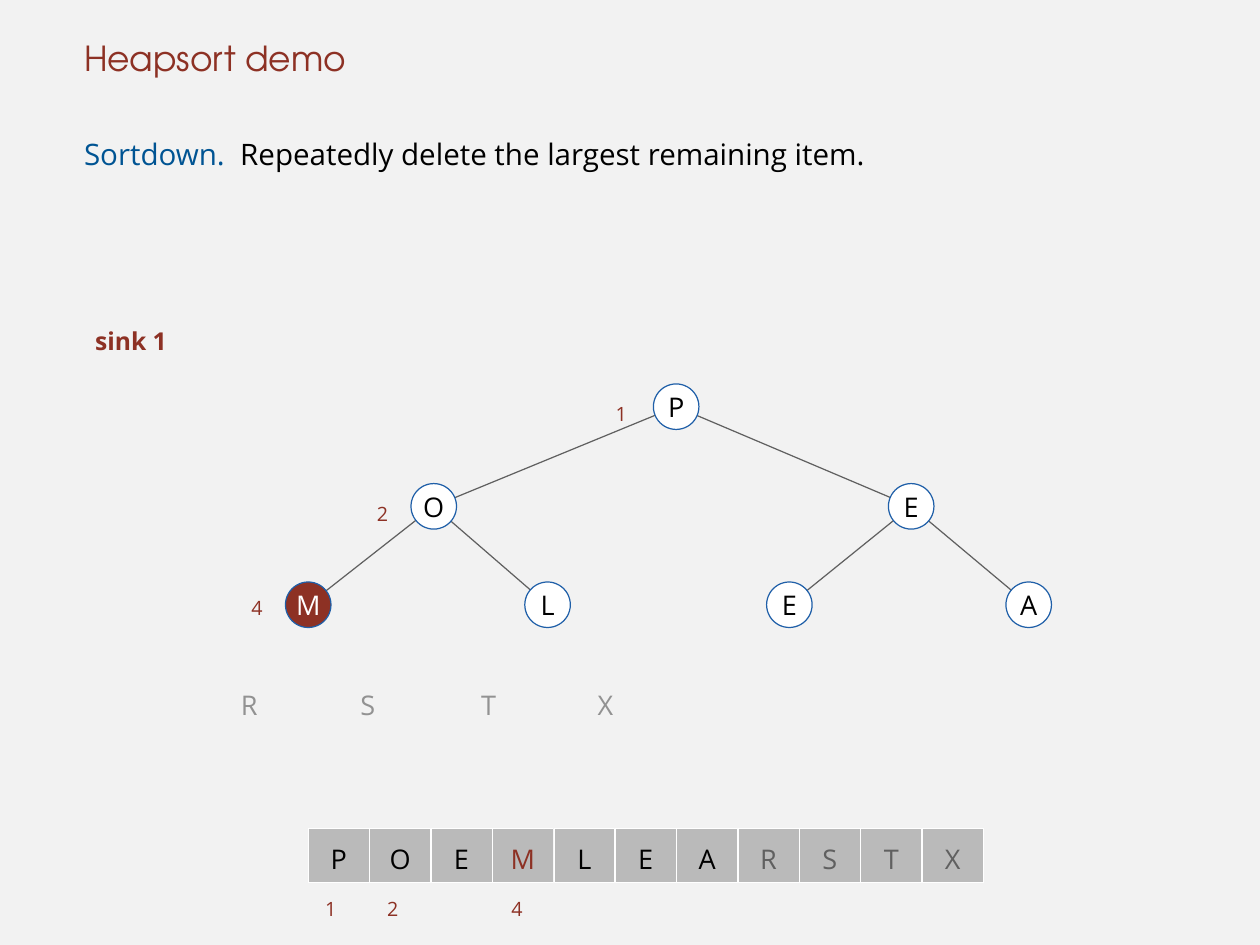
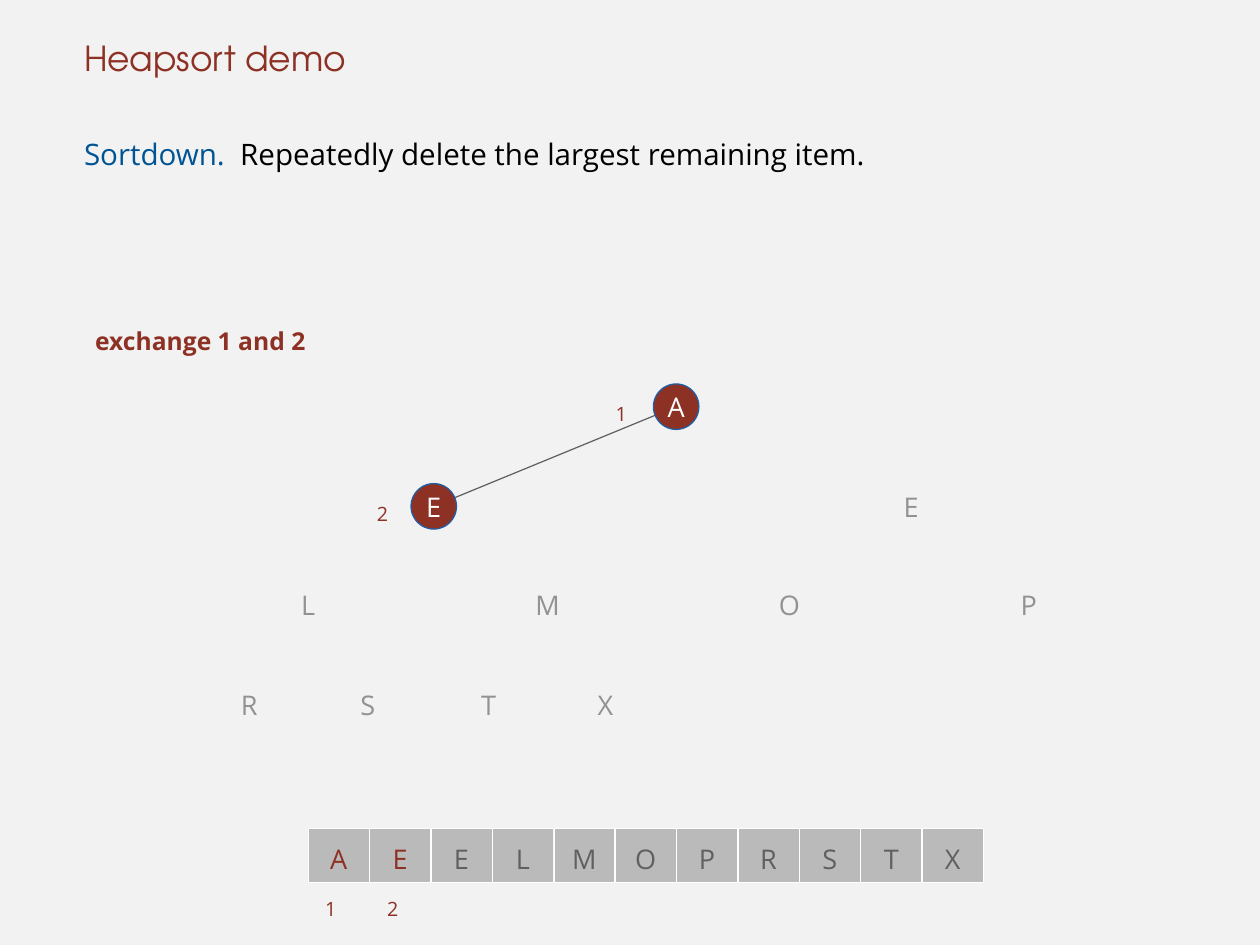
import pptx
import pptx.dml.color
import pptx.enum.shapes
import pptx.enum.text
import pptx.oxml.ns
import pptx.util
from lxml import etree

Pt = pptx.util.Pt
ALIGN = pptx.enum.text.PP_ALIGN
ANCHOR = pptx.enum.text.MSO_ANCHOR
SHAPE = pptx.enum.shapes.MSO_SHAPE

# Heap positions 1 to 11: node centres, and the places of the index labels
NODES = dict(enumerate([
    (549.5, 330.5),
    (352.5, 411.5), (740.5, 411.5),
    (250.5, 491.5), (445, 491.5), (641.5, 491.5), (836, 491.5),
    (202.5, 572.5), (299, 572.5), (397, 572.5), (492, 572.5),
], start=1))
NODE_LABELS = {1: (496, 317), 2: (302, 398), 4: (200, 475)}


def color(hex_string):
    return pptx.dml.color.RGBColor.from_string(hex_string)


class Deck:
    FONT, TITLE_FONT = "Open Sans", "TeX Gyre Adventor"
    PAPER, WHITE, BLACK = "F2F2F2", "FFFFFF", "000000"
    RED, BLUE, RING = "8D3124", "005493", "1F5FA8"
    CELL, DARK, PALE = "BABABA", "606060", "929292"
    DIAMETER = 37

    def __init__(self):
        self.prs = pptx.Presentation()
        self.prs.slide_width, self.prs.slide_height = Pt(1024), Pt(768)
        fill = self.prs.slide_master.background.fill
        fill.solid()
        fill.fore_color.rgb = color(self.PAPER)
        self.s = None

    def set_text(self, sp, runs, size, font=FONT, bold=False, spacing=None,
                 align=ALIGN.LEFT, anchor=ANCHOR.TOP, indent=0):
        """Fill a shape with one paragraph of (text, colour) runs."""
        tf = sp.text_frame
        tf.word_wrap = True
        tf.vertical_anchor = anchor
        tf.margin_left = tf.margin_right = Pt(indent)
        tf.margin_top = tf.margin_bottom = 0
        p = tf.paragraphs[0]
        p.alignment = align
        p.line_spacing = spacing
        for text, hex_string in runs:
            r = p.add_run()
            r.text = text
            r.font.size, r.font.name, r.font.bold = Pt(size), font, bold
            r.font.color.rgb = color(hex_string)

    def text(self, left, top, width, height, runs, size, **style):
        sp = self.s.shapes.add_textbox(Pt(left), Pt(top), Pt(width), Pt(height))
        self.set_text(sp, runs, size, indent=4.3, **style)

    def shape(self, shapes, kind, box, fill, line, line_width, letter, ink,
              spacing=None):
        sp = shapes.add_shape(kind, *[Pt(v) for v in box])
        sp.shadow.inherit = False
        if fill:
            sp.fill.solid()
            sp.fill.fore_color.rgb = color(fill)
            sp.line.color.rgb = color(line)
            sp.line.width = Pt(line_width)
        else:
            sp.fill.background()
            sp.line.fill.background()
        self.set_text(sp, [(letter, ink)], 22, spacing=spacing,
                      align=ALIGN.CENTER, anchor=ANCHOR.MIDDLE)

    def new_slide(self, caption):
        self.s = self.prs.slides.add_slide(self.prs.slide_layouts[6])
        self.text(64, 0, 896, 64, [("Heapsort demo", self.RED)], 28,
                  font=self.TITLE_FONT, anchor=ANCHOR.BOTTOM)
        self.text(64, 100, 896, 640,
                  [("Sortdown.  ", self.BLUE),
                   ("Repeatedly delete the largest remaining item.", self.BLACK)],
                  24, spacing=Pt(39))
        self.text(73, 253, 200, 31, [(caption, self.RED)], 20,
                  bold=True, spacing=1.5)

    def index(self, left, top, i):
        self.text(left, top, 24, 26, [(str(i), self.RED)], 16, spacing=1.5)

    def edge(self, i):
        """Line from node i to its parent."""
        ends = NODES[i] + NODES[i // 2]
        line = self.s.shapes.add_connector(
            pptx.enum.shapes.MSO_CONNECTOR.STRAIGHT, *[Pt(v) for v in ends])
        line.line.color.rgb = color(self.DARK)
        line.line.width = Pt(1)
        etree.SubElement(line._element.spPr, pptx.oxml.ns.qn("a:effectLst"))

    def node(self, i, letter, in_heap, marked):
        x, y = NODES[i]
        d = self.DIAMETER
        if marked:
            fill, ink = self.RED, self.WHITE
        elif in_heap:
            fill, ink = self.WHITE, self.BLACK
        else:
            fill, ink = None, self.PALE
        self.shape(self.s.shapes, SHAPE.OVAL, (x - d / 2, y - d / 2, d, d),
                   fill, self.RING, 1, letter, ink)

    def cell(self, row, i, letter, in_heap, marked):
        ink = self.RED if marked else self.BLACK if in_heap else self.DARK
        self.shape(row.shapes, SHAPE.RECTANGLE,
                   (250.5 + 49.9 * (i - 1), 673, 49.5, 44),
                   self.CELL, self.WHITE, 0.5, letter, ink, spacing=1.2)

    def heap_step(self, caption, letters, size, marked, indices):
        """One step: tree of the first `size` letters, and the whole array."""
        self.new_slide(caption)
        for i in range(2, size + 1):
            self.edge(i)
        row = self.s.shapes.add_group_shape()
        for i, letter in enumerate(letters, start=1):
            state = letter, i <= size, i in marked
            self.node(i, *state)
            self.cell(row, i, *state)
        for i in indices:
            self.index(*NODE_LABELS[i], i)
            self.index(260 + 50.4 * (i - 1), 719.5, i)


def main():
    deck = Deck()
    deck.heap_step("sink 1", "POEMLEARSTX", 7, {4}, [1, 2, 4])
    deck.heap_step("exchange 1 and 2", "AEELMOPRSTX", 2, {1, 2}, [1, 2])
    deck.prs.save("out.pptx")


if __name__ == "__main__":
    main()
